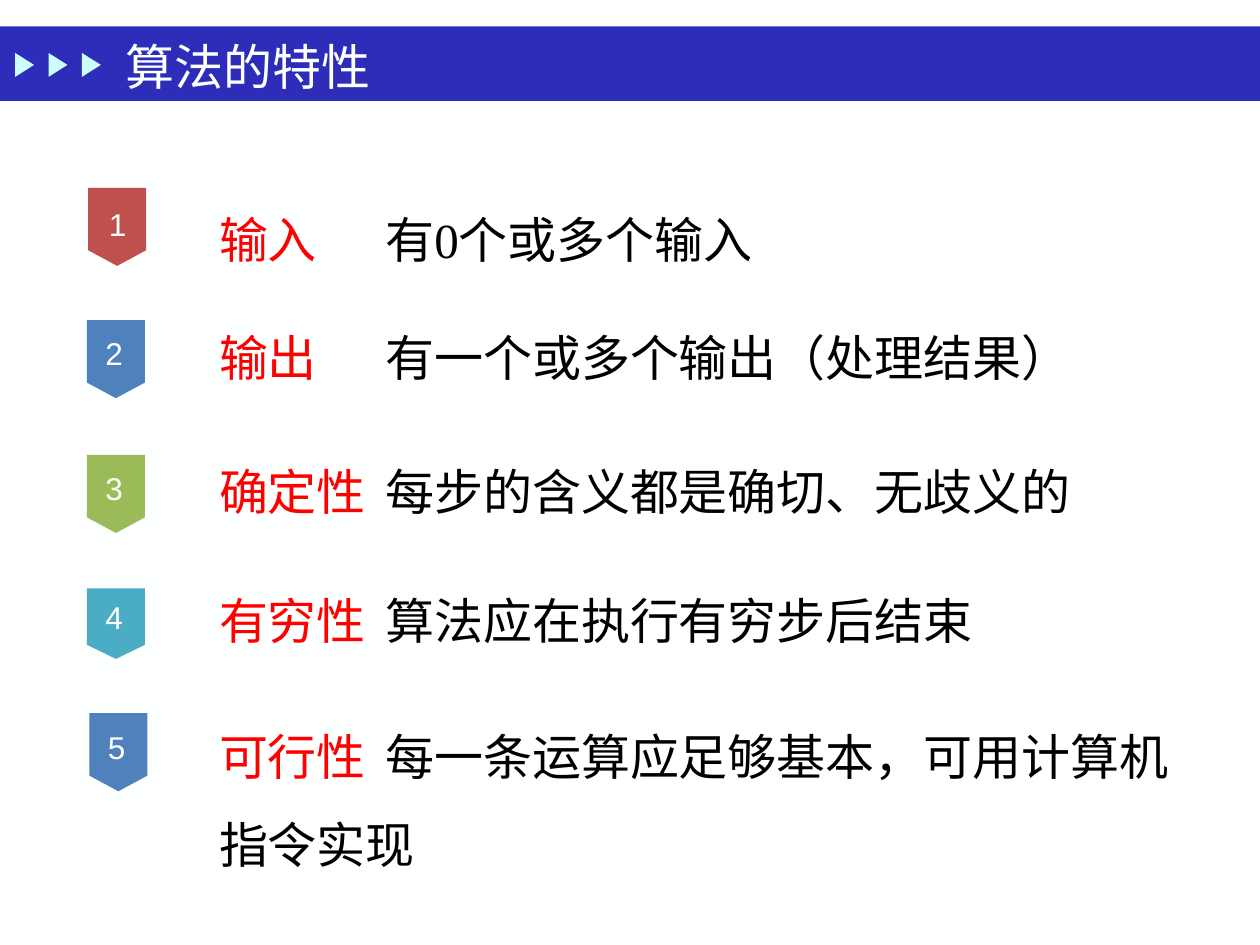
from lxml import etree
from pptx import Presentation
from pptx.dml.color import RGBColor
from pptx.enum.shapes import MSO_SHAPE
from pptx.enum.text import MSO_ANCHOR, PP_ALIGN
from pptx.oxml.ns import qn
from pptx.util import Inches, Pt

RECT = MSO_SHAPE.RECTANGLE
WEDGE = MSO_SHAPE.ISOSCELES_TRIANGLE
FLAG = MSO_SHAPE.FLOWCHART_OFFPAGE_CONNECTOR
OVAL = MSO_SHAPE.OVAL
MIDDLE = MSO_ANCHOR.MIDDLE
CENTER, LEFT = PP_ALIGN.CENTER, PP_ALIGN.LEFT

COLS, ROWS = 10, 7.5
CELL = Inches(1)
TAB = 1.32
SERIF, SANS = "Times New Roman", "Arial"
HUES = {
    "page": "FEFFFF", "bar": "2D2DB9", "wedge": "CBFFFF",
    "term": "FF0000", "body": "000000", "digit": "FFFFFF",
    "red": "C0504D", "blue": "4F81BD", "green": "9BBB59", "teal": "4BACC6",
}
TRAITS = [
    ("输入", "有0个或多个输入", "red",
     (0.70, 1.49, 0.46, 0.62), (1.64, 1.47, 7.48, 0.64), 1.3),
    ("输出", "有一个或多个输出（处理结果）", "blue",
     (0.69, 2.54, 0.46, 0.62), (1.64, 2.41, 7.48, 0.64), 1.3),
    ("确定性", "每步的含义都是确切、无歧义的", "green",
     (0.69, 3.61, 0.46, 0.62), (1.64, 3.47, 7.48, 0.59), 1.3),
    ("有穷性", "算法应在执行有穷步后结束", "teal",
     (0.69, 4.67, 0.46, 0.56), (1.64, 4.50, 7.48, 0.66), 1.3),
    ("可行性", "每一条运算应足够基本，可用计算机指令实现", "blue",
     (0.71, 5.66, 0.46, 0.62), (1.64, 5.48, 7.85, 0.75), 1.5),
]


def hue(name):
    return RGBColor.from_string(HUES[name])


def span(box):
    return [round(n * CELL) for n in box]


def add_form(slide, kind, box, fill=None):
    form = slide.shapes.add_shape(kind, *span(box))
    form.shadow.inherit = False
    form.line.fill.background()
    if fill:
        form.fill.solid()
        form.fill.fore_color.rgb = hue(fill)
    else:
        form.fill.background()
    return form


def style(run, size, face, color):
    run.font.size = Pt(size)
    run.font.name = face
    run.font.color.rgb = hue(color)


def add_text(slide, box, parts, pitch=None):
    frame = slide.shapes.add_textbox(*span(box)).text_frame
    frame.word_wrap = True
    para = frame.paragraphs[0]
    para.line_spacing = pitch
    for text, color in parts:
        run = para.add_run()
        run.text = text
        style(run, 28, SERIF, color)
    return para


def add_tab(para, place):
    stops = etree.SubElement(para._p.get_or_add_pPr(), qn("a:tabLst"))
    etree.SubElement(stops, qn("a:tab"), pos=str(round(place * CELL)), algn="l")


def add_header(slide, box):
    left, top, wide, high = box
    add_form(slide, RECT, box, "bar")
    for step in range(3):
        spot = (left + 0.1 + step * 0.265, top + 0.23, 0.19, 0.15)
        add_form(slide, WEDGE, spot, "wedge").rotation = 90
    add_text(slide, (left + 0.9, top + 0.03, wide - 1.41, high),
             [("算法的特性", "page")])


def add_badge(slide, box, rank, color):
    left, top, wide, high = box
    add_form(slide, FLAG, box, color)
    lift = {1: 0.02, 4: 0.08}.get(rank, 0.04)
    disc = add_form(slide, OVAL, (left - 0.03, top - lift, 0.53, 0.61))
    frame = disc.text_frame
    frame.text = str(rank)
    frame.vertical_anchor = MIDDLE
    para = frame.paragraphs[0]
    para.alignment = CENTER if rank == 1 else LEFT
    style(para.runs[0], 18, SANS, "digit")


def add_trait(slide, box, term, note, pitch):
    para = add_text(slide, box, [(term, "term"), ("\t" + note, "body")], pitch)
    add_tab(para, TAB)


def main():
    deck = Presentation()
    deck.slide_width, deck.slide_height = span((COLS, ROWS))
    slide = deck.slides.add_slide(deck.slide_layouts[6])
    back = slide.background.fill
    back.solid()
    back.fore_color.rgb = hue("page")
    add_header(slide, (0, 0.21, COLS, 0.59))
    for rank, (term, note, color, mark, box, pitch) in enumerate(TRAITS, 1):
        add_badge(slide, mark, rank, color)
        add_trait(slide, box, term, note, pitch)
    deck.save("out.pptx")


if __name__ == "__main__":
    main()
